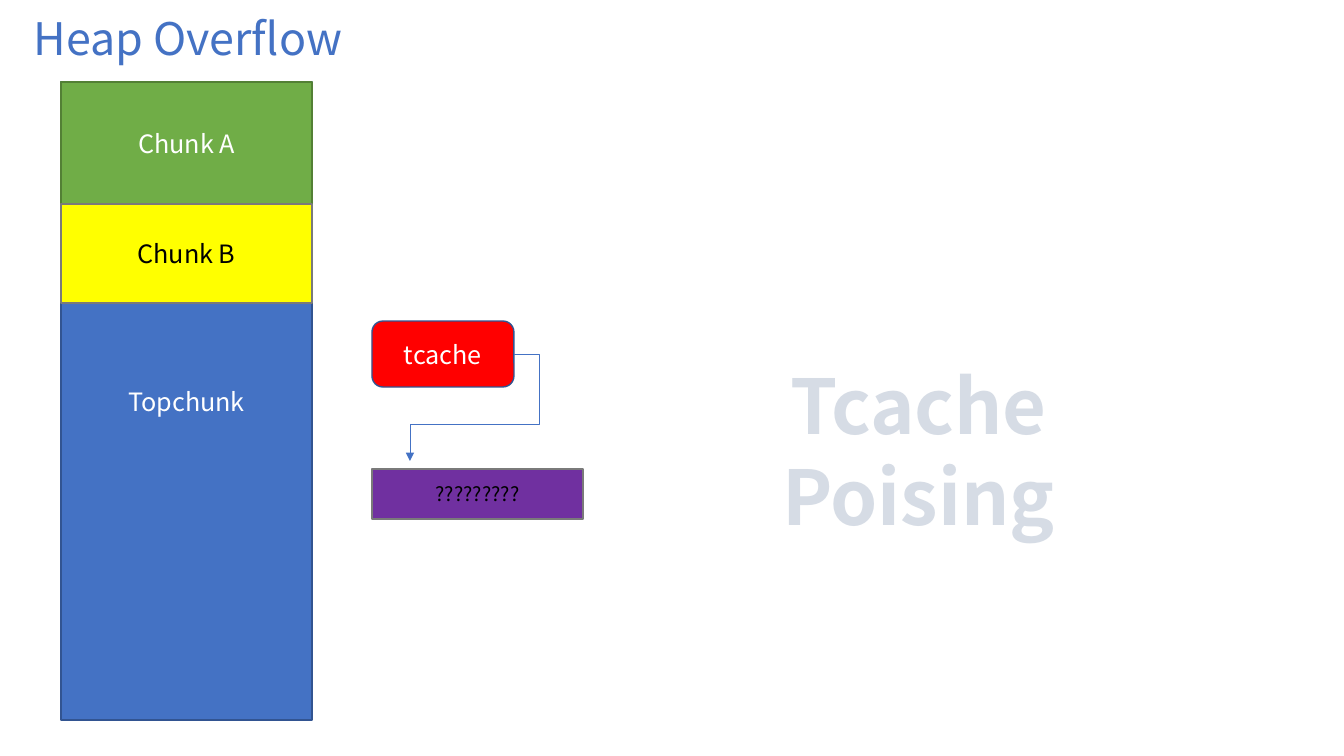
from lxml.etree import SubElement
from pptx import Presentation
from pptx.dml.color import RGBColor
from pptx.enum.shapes import MSO_CONNECTOR, MSO_SHAPE
from pptx.enum.text import MSO_ANCHOR, PP_ALIGN
from pptx.oxml.ns import qn
from pptx.util import Emu, Pt

FONT = "Noto Sans CJK SC"
BLUE, NAVY, GRAY = "4472C4", "325491", "7A7A7A"
WHITE, BLACK = "FFFFFF", "000000"
RECT, ROUND = MSO_SHAPE.RECTANGLE, MSO_SHAPE.ROUNDED_RECTANGLE

# text, size, colour, bold, (left, top, width, height)
TITLE = ("Heap Overflow", 32, BLUE, False, (-57, 6, 490, 64))
CAPTION = ("Tcache Poising", 54, "D6DCE5", True, (652, 354, 533, 102))

HEAP_LEFT, HEAP_TOP, HEAP_WIDTH, HEAP_HEIGHT = 61, 82, 251, 638
CHUNK_A_HEIGHT, CHUNK_B_HEIGHT = 122, 99
BIN_LEFT = 372
TCACHE_TOP, TCACHE_WIDTH, TCACHE_HEIGHT = 321, 142, 66
ARROW_END = (410, 461)
ARROW_BENDS = {"adj1": -24300, "adj2": 65400}

# text, shape, fill, line, text colour, size, (left, top, width, height)
BLOCKS = [
    ("Topchunk", RECT, BLUE, NAVY, WHITE, 18,
     (HEAP_LEFT, HEAP_TOP, HEAP_WIDTH, HEAP_HEIGHT)),
    ("Chunk A", RECT, "70AD47", "538035", WHITE, 18,
     (HEAP_LEFT, HEAP_TOP, HEAP_WIDTH, CHUNK_A_HEIGHT)),
    ("Chunk B", RECT, "FFFF00", GRAY, BLACK, 18,
     (HEAP_LEFT, HEAP_TOP + CHUNK_A_HEIGHT, HEAP_WIDTH, CHUNK_B_HEIGHT)),
    ("tcache", ROUND, "FF0000", NAVY, WHITE, 18,
     (BIN_LEFT, TCACHE_TOP, TCACHE_WIDTH, TCACHE_HEIGHT)),
    ("?????????", RECT, "7030A0", GRAY, BLACK, 14, (BIN_LEFT, 469, 211, 50)),
]


def px(value):
    return Emu(round(value * 914400 / 100.8))


def color(hex_string):
    return RGBColor.from_string(hex_string)


def place(shape, box):
    shape.left, shape.top, shape.width, shape.height = map(px, box)


def write(shape, text, size, text_color, bold=False, anchor=MSO_ANCHOR.MIDDLE):
    frame = shape.text_frame
    frame.word_wrap = True
    frame.vertical_anchor = anchor
    paragraph = frame.paragraphs[0]
    paragraph.alignment = PP_ALIGN.CENTER
    paragraph.line_spacing = 1.0
    run = paragraph.add_run()
    run.text = text
    run.font.name = FONT
    run.font.size = Pt(size)
    run.font.bold = bold
    run.font.color.rgb = color(text_color)


def add_block(slide, text, kind, fill, line, text_color, size, box):
    shape = slide.shapes.add_shape(kind, *map(px, box))
    shape.shadow.inherit = False
    shape.fill.solid()
    shape.fill.fore_color.rgb = color(fill)
    shape.line.color.rgb = color(line)
    shape.line.width = Pt(1)
    write(shape, text, size, text_color)


def add_bent_arrow(slide, start, end, bends):
    """Draw an elbow arrow with one bend more than the usual elbow connector."""
    connector = slide.shapes.add_connector(
        MSO_CONNECTOR.ELBOW, *map(px, start + end))
    connector.line.color.rgb = color(BLUE)
    connector.line.width = Pt(0.5)
    properties = connector._element.spPr
    geometry = properties.find(qn("a:prstGeom"))
    geometry.set("prst", "bentConnector4")
    guides = geometry.find(qn("a:avLst"))
    for name, value in bends.items():
        SubElement(guides, qn("a:gd"), name=name, fmla=f"val {value}")
    SubElement(properties.find(qn("a:ln")), qn("a:tailEnd"), type="triangle")
    SubElement(properties, qn("a:effectLst"))


def main():
    presentation = Presentation()
    presentation.slide_width, presentation.slide_height = px(1344), px(756)
    slide = presentation.slides.add_slide(presentation.slide_layouts[5])

    caption = slide.shapes.add_textbox(0, 0, 0, 0)
    for shape, (*text_format, box) in ((slide.shapes.title, TITLE),
                                       (caption, CAPTION)):
        place(shape, box)
        write(shape, *text_format, anchor=MSO_ANCHOR.TOP)

    for block in BLOCKS:
        add_block(slide, *block)

    arrow_start = (BIN_LEFT + TCACHE_WIDTH, TCACHE_TOP + TCACHE_HEIGHT // 2)
    add_bent_arrow(slide, arrow_start, ARROW_END, ARROW_BENDS)
    presentation.save("out.pptx")


if __name__ == "__main__":
    main()
